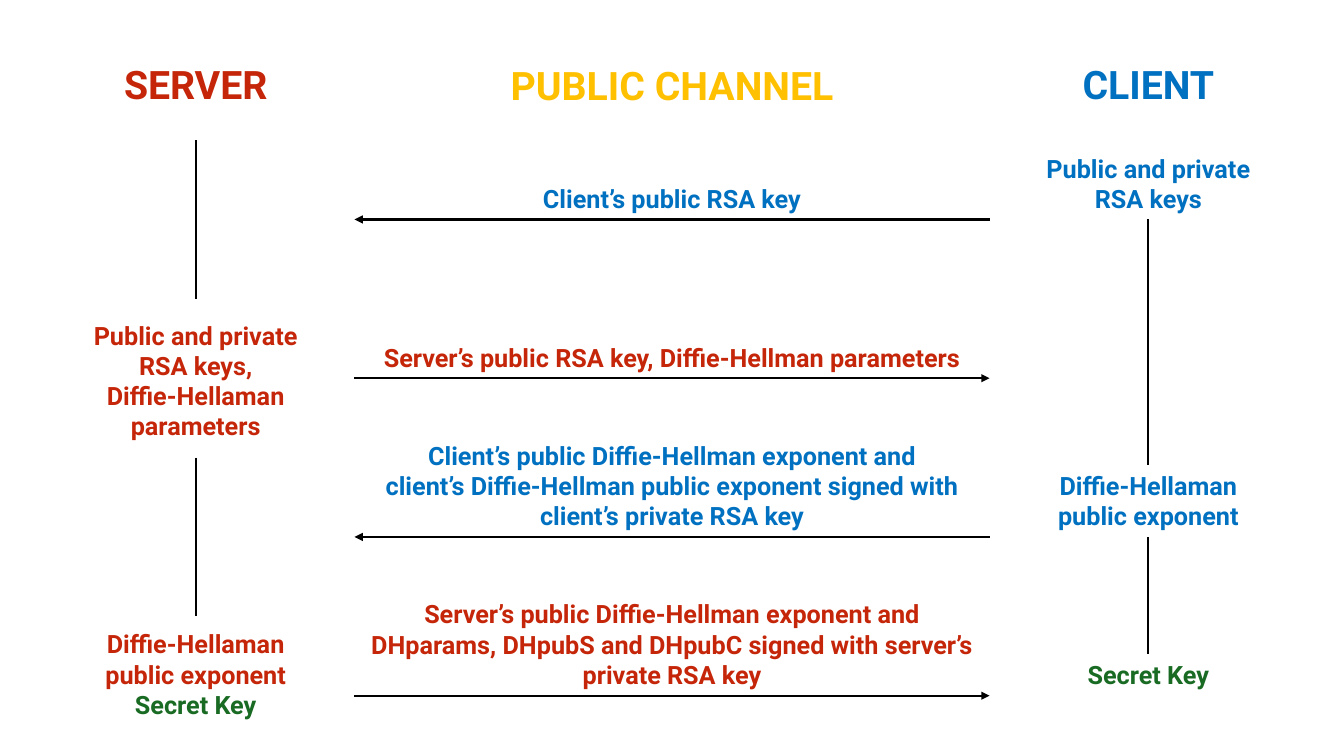
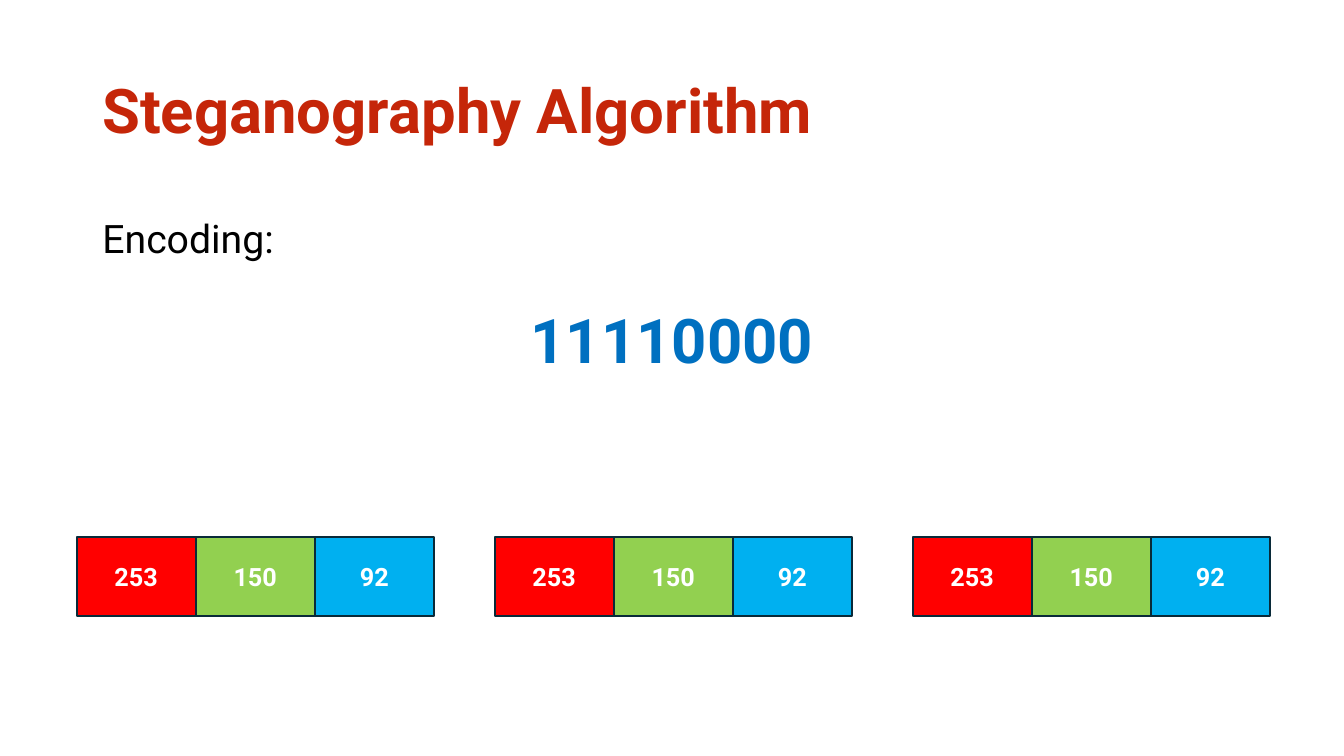
from dataclasses import dataclass

from pptx import Presentation, util as u
from pptx.dml.color import RGBColor
from pptx.enum import shapes, text
from pptx.oxml.ns import qn
from pptx.slide import Slide

# Colours and font shared by both slides
RED = RGBColor(0xC5, 0x26, 0x09)
BLUE = RGBColor(0x00, 0x70, 0xC0)
AMBER = RGBColor(0xFF, 0xC0, 0x00)
GREEN = RGBColor(0x19, 0x6B, 0x24)
BLACK = RGBColor(0x00, 0x00, 0x00)
WHITE = RGBColor(0xFF, 0xFF, 0xFF)
PIXEL_EDGE = RGBColor(0x09, 0x2A, 0x39)
PIXEL_RED = RGBColor(0xFF, 0x00, 0x00)
PIXEL_GREEN = RGBColor(0x92, 0xD0, 0x50)
PIXEL_BLUE = RGBColor(0x00, 0xB0, 0xF0)
FONT = "Roboto"
STROKE = u.Pt(1.5)

CENTER, LEFT = text.PP_ALIGN.CENTER, text.PP_ALIGN.LEFT
TOP, MIDDLE = text.MSO_ANCHOR.TOP, text.MSO_ANCHOR.MIDDLE

# Grid of one-centimetre cells, counted from the first column and row
ORIGIN_X, ORIGIN_Y = 1.93, 1.53
SERVER_COL, CHANNEL_COL, CLIENT_COL = 0, 7, 24
PARTY_COLS, CHANNEL_COLS = 6, 16
LINE_ROWS, PADDING_ROWS = 0.77, 0.26


@dataclass(frozen=True)
class Area:
    col: float
    row: float
    cols: float
    rows: float

    def emu(self) -> tuple[int, int, int, int]:
        return x(self.col), y(self.row), u.Cm(self.cols), u.Cm(self.rows)


@dataclass(frozen=True)
class Message:
    """Text above an arrow through the channel."""
    row: float
    lines: int
    wording: list[str]
    from_server: bool


@dataclass(frozen=True)
class State:
    """What a party holds; the text ends at the given row."""
    col: float
    bottom: float
    lines: int
    wording: list[str]
    colors: list[RGBColor]


@dataclass(frozen=True)
class Lifeline:
    col: float
    start: float
    end: float


@dataclass(frozen=True)
class Channel:
    value: str
    fill: RGBColor


HEADERS = [
    ("SERVER", RED, Area(SERVER_COL, 0, PARTY_COLS, 2)),
    ("PUBLIC CHANNEL", AMBER, Area(9, 0.02, 12, 2.6)),
    ("CLIENT", BLUE, Area(CLIENT_COL, 0, PARTY_COLS, 2)),
]
MESSAGES = [
    Message(4, 1, ["Client’s public RSA key"], False),
    Message(8, 1, ["Server’s public RSA key, Diffie-Hellman parameters"], True),
    Message(12, 3, ["Client’s public Diffie-Hellman exponent and",
                    "client’s Diffie-Hellman public exponent signed with client’s private RSA key"],
            False),
    Message(16, 3, ["Server’s public Diffie-Hellman exponent and",
                    "DHparams, DHpubS and DHpubC signed with server’s private RSA key"], True),
]
EXPONENT = ["Diffie-Hellaman", "public exponent"]
STATES = [
    State(SERVER_COL, 9.75, 4, ["Public and private RSA keys,", "Diffie-Hellaman parameters"],
          [RED, RED]),
    State(SERVER_COL, 16.76, 3, EXPONENT + ["Secret Key"], [RED, RED, GREEN]),
    State(CLIENT_COL, 4, 2, ["Public and private RSA keys"], [BLUE]),
    State(CLIENT_COL, 12, 2, EXPONENT, [BLUE, BLUE]),
    State(CLIENT_COL, 16, 1, ["Secret Key"], [GREEN]),
]
LIFELINES = [
    Lifeline(SERVER_COL, 2, 6),
    Lifeline(SERVER_COL, 10, 14),
    Lifeline(CLIENT_COL, 4, 10.2),
    Lifeline(CLIENT_COL, 12, 14.95),
]
PIXEL = [Channel("253", PIXEL_RED), Channel("150", PIXEL_GREEN), Channel("92", PIXEL_BLUE)]
PIXEL_COUNT, PIXEL_STEP, PIXEL_ROW = 3, 10.53, 12
CHANNEL_WIDTH, CHANNEL_HEIGHT = 3, 2


def x(col: float) -> int:
    return u.Cm(ORIGIN_X + col)


def y(row: float) -> int:
    return u.Cm(ORIGIN_Y + row)


def write(frame, paragraphs: list[str], *, colors: list[RGBColor], size: float = 18,
          bold: bool = True, align=CENTER, anchor=TOP,
          spacing: float = 1.0, before: float = 0) -> None:
    """Fill a text frame, one colour per paragraph."""
    frame.word_wrap = True
    frame.vertical_anchor = anchor
    for index, (wording, color) in enumerate(zip(paragraphs, colors)):
        paragraph = frame.add_paragraph() if index else frame.paragraphs[0]
        paragraph.alignment = align
        paragraph.line_spacing = spacing
        paragraph.space_before = u.Pt(before)
        run = paragraph.add_run()
        run.text = wording
        run.font.name, run.font.size, run.font.bold = FONT, u.Pt(size), bold
        run.font.color.rgb = color


def add_text(slide: Slide, area: Area, paragraphs: list[str], **style) -> None:
    write(slide.shapes.add_textbox(*area.emu()).text_frame, paragraphs, **style)


def text_ending_at(bottom: float, col: float, cols: float, lines: int) -> Area:
    rows = PADDING_ROWS + LINE_ROWS * lines
    return Area(col, bottom - rows, cols, rows)


def add_line(slide: Slide, start: tuple[float, float], end: tuple[float, float],
             arrow: bool = False) -> None:
    line = slide.shapes.add_connector(shapes.MSO_CONNECTOR.STRAIGHT,
                                      x(start[0]), y(start[1]), x(end[0]), y(end[1]))
    line.line.color.rgb = BLACK
    line.line.width = STROKE
    properties = line._element.spPr
    if arrow:
        head = line.line._get_or_add_ln().makeelement(qn("a:tailEnd"), {"type": "triangle"})
        line.line._get_or_add_ln().append(head)
    properties.append(properties.makeelement(qn("a:effectLst"), {}))


def add_message(slide: Slide, message: Message) -> None:
    ends = [(CHANNEL_COL, message.row), (CHANNEL_COL + CHANNEL_COLS, message.row)]
    start, end = ends if message.from_server else reversed(ends)
    add_line(slide, start, end, arrow=True)
    color = RED if message.from_server else BLUE
    add_text(slide, text_ending_at(message.row, CHANNEL_COL, CHANNEL_COLS, message.lines),
             message.wording, colors=[color] * len(message.wording))


def add_pixel(slide: Slide, col: float) -> None:
    for index, channel in enumerate(PIXEL):
        area = Area(col + index * CHANNEL_WIDTH, PIXEL_ROW, CHANNEL_WIDTH, CHANNEL_HEIGHT)
        box = slide.shapes.add_shape(shapes.MSO_SHAPE.RECTANGLE, *area.emu())
        box.shadow.inherit = False
        box.fill.solid()
        box.fill.fore_color.rgb = channel.fill
        box.line.color.rgb = PIXEL_EDGE
        box.line.width = STROKE
        write(box.text_frame, [channel.value], colors=[WHITE], anchor=MIDDLE)


def build_key_exchange(slide: Slide) -> None:
    for wording, color, area in HEADERS:
        add_text(slide, area, [wording], colors=[color], size=28, spacing=0.9, before=10)
    for message in MESSAGES:
        add_message(slide, message)
    for state in STATES:
        add_text(slide, text_ending_at(state.bottom, state.col, PARTY_COLS, state.lines),
                 state.wording, colors=state.colors)
    for life in LIFELINES:
        middle = life.col + PARTY_COLS / 2
        add_line(slide, (middle, life.start), (middle, life.end))


def build_steganography(slide: Slide) -> None:
    # Title and step
    add_text(slide, Area(0.4, -0.5, 29.2, 3.68), ["Steganography Algorithm"], colors=[RED],
             size=44, align=LEFT, anchor=MIDDLE, spacing=0.9)
    add_text(slide, Area(0.4, 3.55, 4.95, 1.98), ["Encoding:"], colors=[BLACK], size=28,
             bold=False, align=LEFT, anchor=MIDDLE, spacing=0.9, before=10)
    # Secret byte and the pixels that carry it
    add_text(slide, Area(9, 5.96, 12, 2.13), ["11110000"], colors=[BLUE], size=44)
    for index in range(PIXEL_COUNT):
        add_pixel(slide, index * PIXEL_STEP)


def main() -> None:
    deck = Presentation()
    deck.slide_width, deck.slide_height = u.Inches(13.33), u.Inches(7.5)
    blank = deck.slide_layouts[6]
    for build in (build_key_exchange, build_steganography):
        build(deck.slides.add_slide(blank))
    deck.save("out.pptx")


if __name__ == "__main__":
    main()
